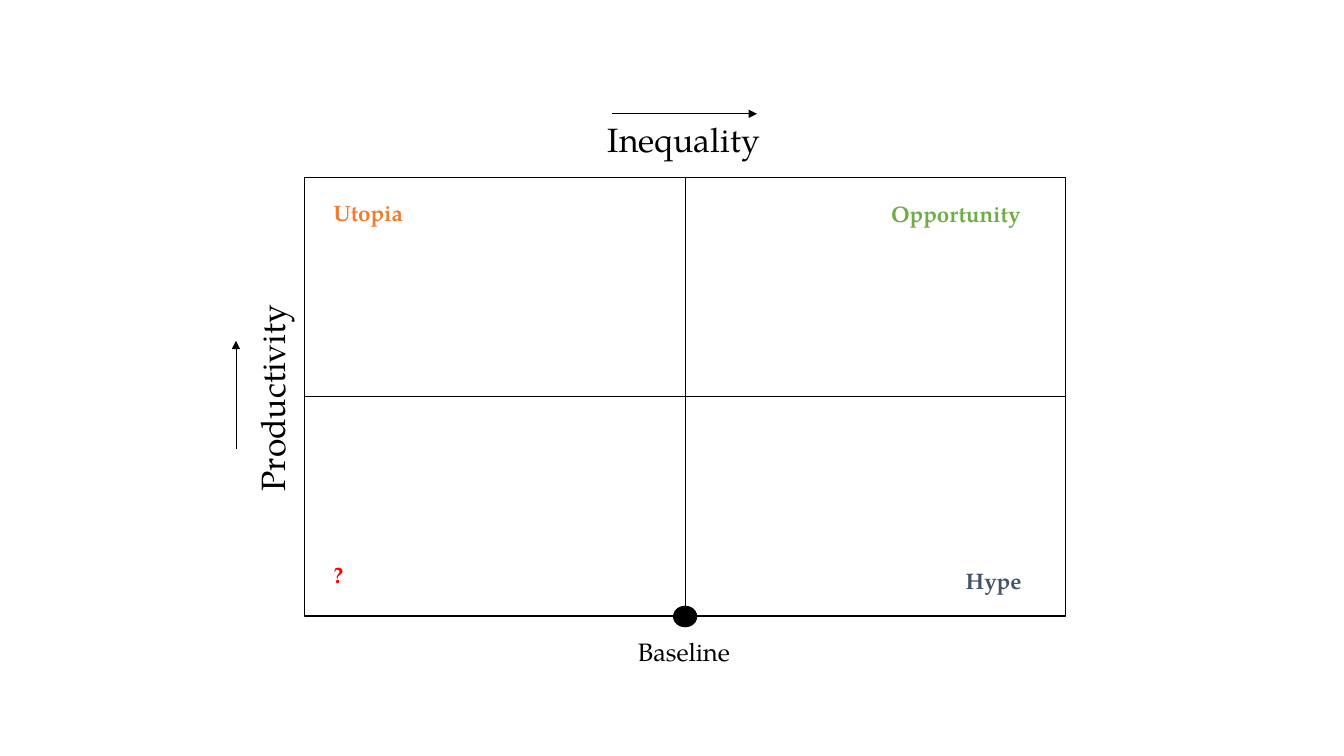
from lxml.etree import SubElement
from pptx import Presentation
from pptx.dml.color import RGBColor
from pptx.enum.shapes import MSO_CONNECTOR as Link, MSO_SHAPE as Form
from pptx.enum.text import MSO_AUTO_SIZE as Fit
from pptx.oxml.ns import qn
from pptx.util import Inches, Pt

FONT = "TeX Gyre Pagella"
BLACK = "000000"
LEFT, TOP = 3.02, 1.76
WIDE, HIGH = 7.55, 4.35
CELLS = 20
LABELS = [
    ("Inequality", 7.71, -2.9, 4.58, 2.3, 24, BLACK, False, 0),
    ("Productivity", -3.58, 8.87, 5.48, 2.3, 24, BLACK, False, 270),
    ("Opportunity", 15.15, 0.83, 3.97, 1.7, 16, "70AD47", True, 0),
    ("?", 0.5, 17.29, 0.79, 1.7, 16, "FF0000", True, 0),
    ("Utopia", 0.5, 0.78, 2.38, 1.7, 16, "ED7D31", True, 0),
    ("Hype", 17.11, 17.56, 2.01, 1.7, 16, "44546A", True, 0),
    ("Baseline", 8.5, 20.69, 2.99, 1.84, 18, BLACK, False, 0),
]


def paint(color, code):
    color.rgb = RGBColor.from_string(code)


def cols(count):
    return Inches(WIDE / CELLS * count)


def rows(count):
    return Inches(HIGH / CELLS * count)


def point(col, row):
    return Inches(LEFT) + cols(col), Inches(TOP) + rows(row)


def draw_shape(slide, form, col, row, wide, high, fill=None):
    shape = slide.shapes.add_shape(
        form, *point(col, row), cols(wide), rows(high))
    shape.shadow.inherit = False
    if fill:
        shape.fill.solid()
        paint(shape.fill.fore_color, fill)
    else:
        shape.fill.background()
    paint(shape.line.color, BLACK)
    shape.line.width = Pt(1)
    return shape


def draw_line(slide, start, end):
    line = slide.shapes.add_connector(
        Link.STRAIGHT, *point(*start), *point(*end))
    paint(line.line.color, BLACK)
    line.line.width = Pt(0.5)
    SubElement(line._element.spPr, qn("a:effectLst"))
    return line


def draw_arrow(slide, start, end):
    line = draw_line(slide, start, end)
    SubElement(line.line._get_or_add_ln(), qn("a:tailEnd"), type="triangle")


def split(slide, frame, start, end, first, last):
    line = draw_line(slide, start, end)
    line.begin_connect(frame, first)
    line.end_connect(frame, last)


def write(slide, text, col, row, wide, high, size, color, bold, turn):
    box = slide.shapes.add_textbox(*point(col, row), cols(wide), rows(high))
    box.rotation = turn
    frame = box.text_frame
    frame.text = text
    frame.word_wrap = False
    frame.auto_size = Fit.SHAPE_TO_FIT_TEXT
    font = frame.paragraphs[0].runs[0].font
    font.name = FONT
    font.size = Pt(size)
    font.bold = bold
    paint(font.color, color)


def main():
    deck = Presentation()
    deck.slide_width, deck.slide_height = Inches(13.33), Inches(7.5)
    slide = deck.slides.add_slide(deck.slide_layouts[6])
    half = CELLS / 2
    frame = draw_shape(slide, Form.RECTANGLE, 0, 0, CELLS, CELLS)
    split(slide, frame, (0, half), (CELLS, half), 1, 3)
    split(slide, frame, (half, 0), (half, CELLS), 0, 2)
    draw_arrow(slide, (8.08, -2.9), (11.89, -2.9))
    draw_arrow(slide, (-1.8, 12.37), (-1.8, 7.45))
    for label in LABELS:
        write(slide, *label)
    draw_shape(slide, Form.OVAL, 9.7, 19.57, 0.6, 0.92, BLACK)
    deck.save("out.pptx")


if __name__ == "__main__":
    main()
